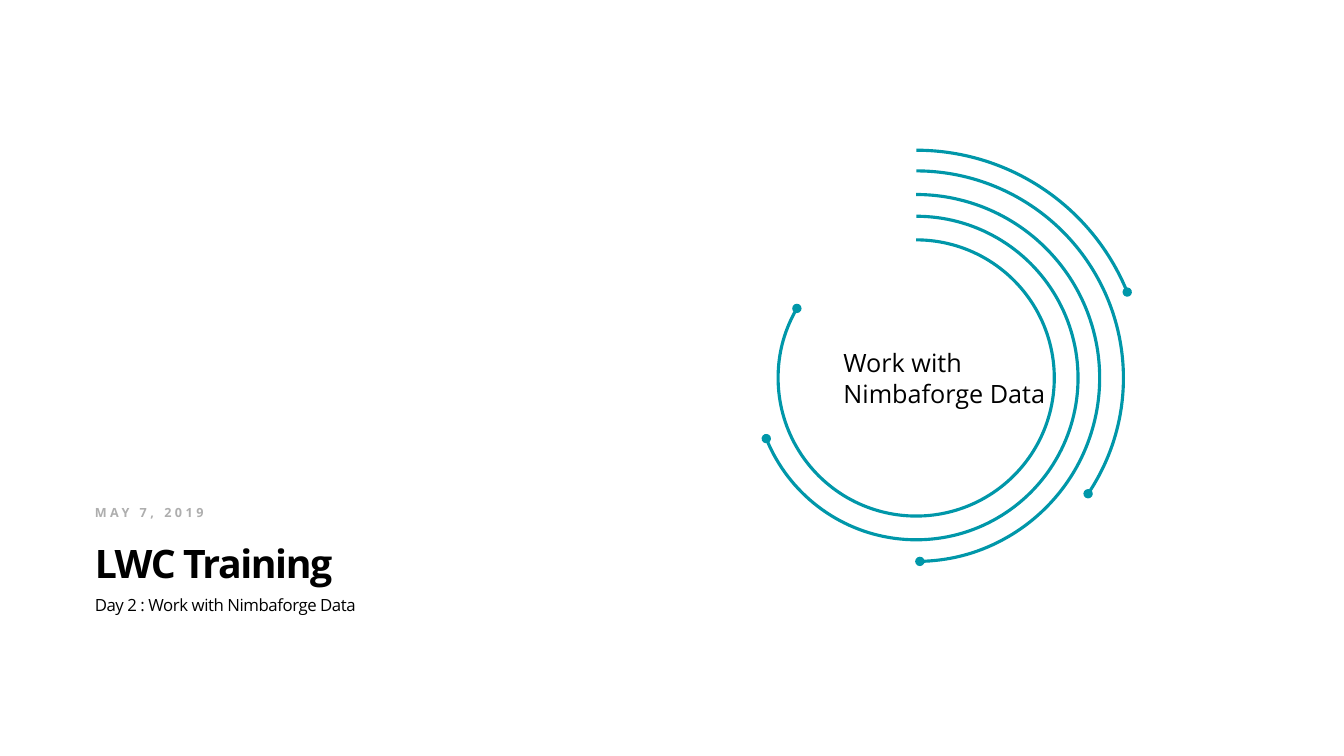
import pptx
import pptx.dml.color
import pptx.enum.shapes
import pptx.enum.text
import pptx.oxml.ns
import pptx.util
from lxml import etree

Pt = pptx.util.Pt
FONT = "Open Sans"
COLORS = {"black": "000000", "grey": "AEAEAE", "teal": "0097A9"}


def rgb(name):
    return pptx.dml.color.RGBColor.from_string(COLORS[name])


def style_paragraph(para, size, color, bold=False):
    para.alignment = pptx.enum.text.PP_ALIGN.LEFT
    para.font.name = FONT
    para.font.size = Pt(size)
    para.font.bold = bold
    para.font.color.rgb = rgb(color)


deck = pptx.Presentation()
deck.slide_width, deck.slide_height = Pt(960), Pt(540)
page = deck.slides.add_slide(deck.slide_layouts.get_by_name("Comparison"))
holders = {holder.placeholder_format.idx: holder for holder in page.placeholders}

# Title, subtitle and date share one left edge; the two content holders go.
ANCHOR = pptx.enum.text.MSO_ANCHOR
headings = [
    # holder, text, top, height, anchor, size, color, bold, spacing, insets
    (0, "LWC Training", 380.2, 38.9, ANCHOR.BOTTOM, 28, "black", True, -1, (0, 3.6, 7.2, 0)),
    (1, "Day 2 : Work with Nimbaforge Data", 424.8, 37.4, ANCHOR.TOP, 12, "black", False, -0.3, (0, 0, 0, 0)),
    (3, "MAY 7, 2019", 360.7, 27.4, ANCHOR.TOP, 9, "grey", True, 2.5, (0, 0, 0, 0)),
]
for index, text, top, height, anchor, size, color, bold, spacing, insets in headings:
    holder = holders.pop(index)
    holder.left, holder.top, holder.width, holder.height = Pt(67.7), Pt(top), Pt(347), Pt(height)
    frame = holder.text_frame
    frame.auto_size = pptx.enum.text.MSO_AUTO_SIZE.NONE
    frame.vertical_anchor = anchor
    frame.margin_left, frame.margin_top, frame.margin_right, frame.margin_bottom = map(Pt, insets)
    para = frame.paragraphs[0]
    span = para.add_run()
    span.text = text
    span._r.get_or_add_rPr().set("spc", str(round(spacing * 100)))
    style_paragraph(para, size, color, bold)
    if index == 0:
        para.line_spacing = 0.85
    else:
        para.space_before = Pt(10)
for holder in holders.values():
    holder._element.getparent().remove(holder._element)

# Concentric arcs start at twelve o'clock and end in a dot.
CENTER_X, CENTER_Y = 654.5, 270
START_ANGLE = 270
ANGLE_UNIT = 0.6  # adjustment value per degree
arcs = [(325.4, 337.84), (295.9, 33.96), (262.1, 88.85), (231.1, 158), (197.3, 210.23)]
rings = page.shapes.add_group_shape()
for diameter, end_angle in arcs:
    arc = rings.shapes.add_shape(
        pptx.enum.shapes.MSO_SHAPE.ARC,
        Pt(CENTER_X - diameter / 2), Pt(CENTER_Y - diameter / 2), Pt(diameter), Pt(diameter))
    arc.adjustments[0] = START_ANGLE * ANGLE_UNIT
    arc.adjustments[1] = end_angle * ANGLE_UNIT
    arc.shadow.inherit = False
    arc.fill.background()
    arc.line.color.rgb = rgb("teal")
    arc.line.width = Pt(2.25)
    etree.SubElement(arc.line._get_or_add_ln(), pptx.oxml.ns.qn("a:tailEnd"), type="oval")

box = page.shapes.add_textbox(Pt(595.4), Pt(244.8), Pt(242.6), Pt(51))
box.text_frame.word_wrap = True
box.text_frame.auto_size = pptx.enum.text.MSO_AUTO_SIZE.SHAPE_TO_FIT_TEXT
box.text_frame.text = "Work with\nNimbaforge Data"
for para in box.text_frame.paragraphs:
    style_paragraph(para, 18, "black")

deck.save("out.pptx")
